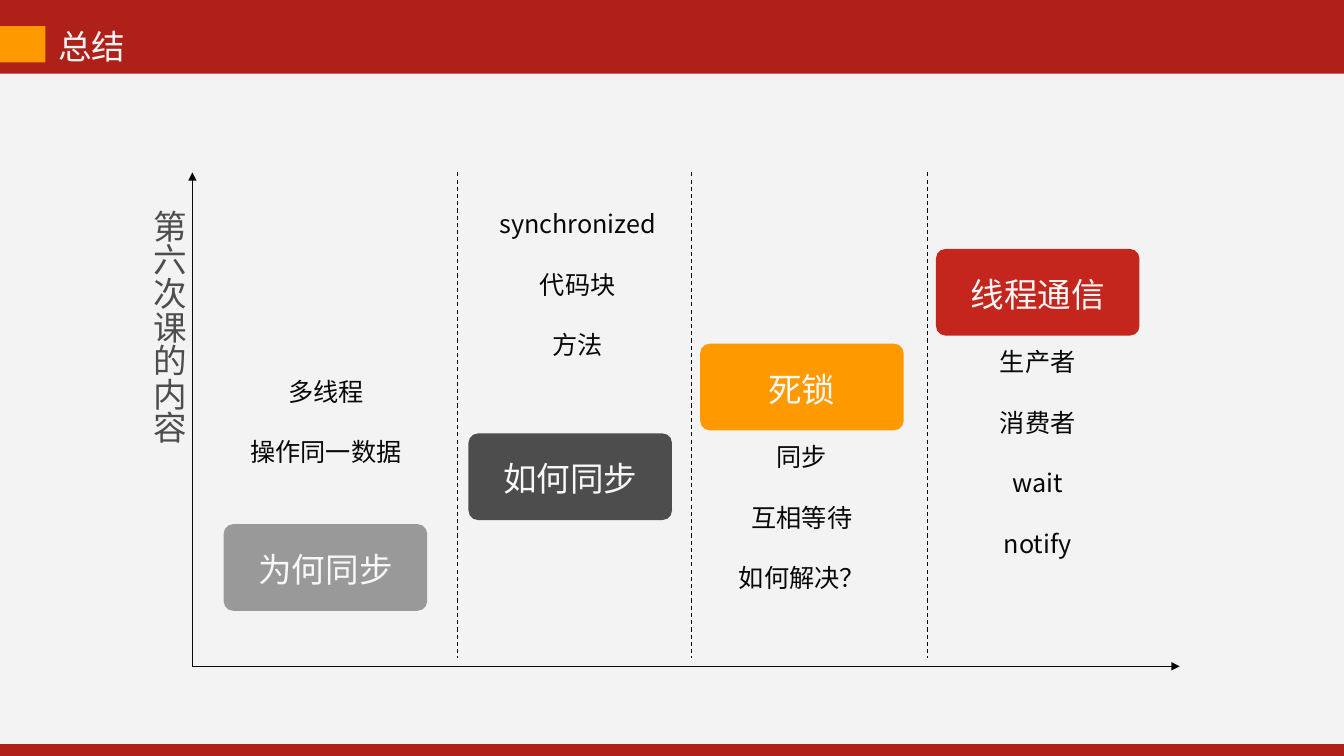
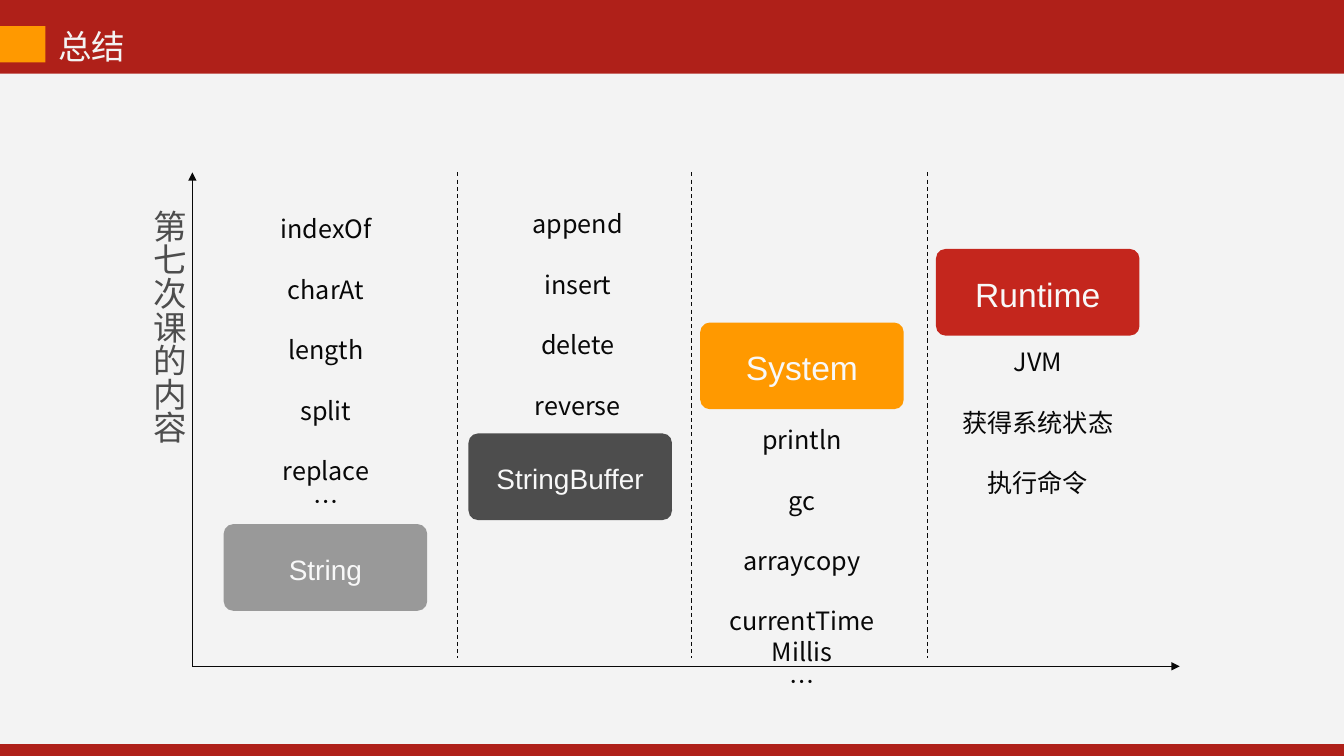
from lxml import etree
from pptx import Presentation
from pptx.dml.color import RGBColor
from pptx.enum.dml import MSO_LINE
from pptx.enum.shapes import MSO_CONNECTOR, MSO_SHAPE
from pptx.enum.text import MSO_ANCHOR, MSO_AUTO_SIZE, PP_ALIGN
from pptx.oxml.ns import qn
from pptx.util import Inches, Pt

RECTANGLE = MSO_SHAPE.RECTANGLE
ROUNDED = MSO_SHAPE.ROUNDED_RECTANGLE
STRAIGHT = MSO_CONNECTOR.STRAIGHT
DASH = MSO_LINE.DASH
MIDDLE = MSO_ANCHOR.MIDDLE
TOP = MSO_ANCHOR.TOP
LEFT = PP_ALIGN.LEFT
CENTER = PP_ALIGN.CENTER
GROW = MSO_AUTO_SIZE.SHAPE_TO_FIT_TEXT

SLIDE_WIDTH, SLIDE_HEIGHT = 13.34, 7.5
RED, PANEL, ORANGE = "AF2019", "F3F3F3", "FF9900"
INK, DARK, PALE = "080808", "4D4D4D", "F8F8F8"
HEADING_FONT, LABEL_FONT = "Noto Sans CJK SC", "Arial"
LINE_FACTOR = 1.2
NOTE_SIZE = 18
NOTE_LINE = NOTE_SIZE * LINE_FACTOR
ELLIPSIS = "…"

CHART_BOX = (1.91, 1.71, 9.8, 4.9)
DIVIDERS = (2.63, 4.95, 7.3)
PILL_WIDTH, PILL_HEIGHT = 2.02, 0.86
COLUMNS = (
    {"left": 0.31, "notes_left": 0.39, "notes_width": 1.87, "fill": "999999"},
    {"left": 2.74, "notes_left": 2.89, "notes_width": 1.87, "fill": DARK},
    {"left": 5.04, "notes_left": 5.19, "notes_width": 1.72, "fill": ORANGE},
    {"left": 7.38, "notes_left": 7.53, "notes_width": 1.72, "fill": "C4261D"},
)

LESSONS = (
    ("第六次课的内容", (
        ("为何同步", 24, 3.49, 1.95, ("多线程", "操作同一数据")),
        ("如何同步", 24, 2.59, 0.29, ("synchronized", "代码块", "方法")),
        ("死锁", 24, 1.7, 2.6, ("同步", "互相等待", "如何解决？")),
        ("线程通信", 24, 0.76, 1.66, ("生产者", "消费者", "wait", "notify")),
    )),
    ("第七次课的内容", (
        ("String", 20, 3.49, 0.34,
         ("indexOf", "charAt", "length", "split", "replace", ELLIPSIS)),
        ("StringBuffer", 20, 2.59, 0.29,
         ("append", "insert", "delete", "reverse")),
        ("System", 24, 1.49, 2.43,
         ("println", "gc", "arraycopy", "currentTimeMillis", ELLIPSIS)),
        ("Runtime", 24, 0.76, 1.66, ("JVM", "获得系统状态", "执行命令")),
    )),
)


def color(value):
    return RGBColor.from_string(value)


def apply(target, values):
    for name, value in values.items():
        setattr(target, name, value)


def inches(*lengths):
    return [Inches(length) for length in lengths]


def write(paragraph, text, size, font, ink, align=LEFT):
    paragraph.alignment = align
    run = paragraph.add_run()
    run.text = text
    apply(run.font, {"size": Pt(size), "name": font})
    run.font.color.rgb = color(ink)
    properties = run.font._element
    etree.SubElement(properties, qn("a:ea")).set("typeface", HEADING_FONT)


def add_block(slide, kind, box, fill):
    shape = slide.shapes.add_shape(kind, *inches(*box))
    shape.shadow.inherit = False
    shape.fill.solid()
    shape.fill.fore_color.rgb = color(fill)
    shape.line.fill.background()
    return shape


def add_text(slide, box, lines, size, ink, align=LEFT, wrap=True):
    shape = slide.shapes.add_textbox(*inches(*box))
    frame = shape.text_frame
    apply(frame, {"word_wrap": wrap, "auto_size": GROW,
                  "vertical_anchor": TOP, "margin_top": Inches(0.07)})
    for index, line in enumerate(lines):
        paragraph = frame.paragraphs[0] if index == 0 else frame.add_paragraph()
        write(paragraph, line, size, HEADING_FONT, ink, align)
        paragraph.line_spacing = Pt(size * LINE_FACTOR)
        if index and line != ELLIPSIS:
            paragraph.space_before = Pt(size * LINE_FACTOR)
    return frame


def add_line(slide, start, end, dashed=False):
    connector = slide.shapes.add_connector(STRAIGHT, *inches(*start, *end))
    connector.line.width = Pt(0.75)
    connector.line.color.rgb = color(INK)
    if dashed:
        connector.line.dash_style = DASH
    else:
        outline = connector.line._get_or_add_ln()
        etree.SubElement(outline, qn("a:tailEnd")).set("type", "triangle")
    etree.SubElement(connector._element.spPr, qn("a:effectLst"))


def add_frame(slide, title):
    add_block(slide, RECTANGLE, (0, 0.73, SLIDE_WIDTH, 6.65), PANEL)
    add_text(slide, (0.48, 0.19, 0.88, 0.5), [title], 24, PANEL, wrap=False)
    add_block(slide, RECTANGLE, (0, 0.26, 0.45, 0.36), ORANGE)


def add_axes(slide, box, caption):
    left, top, width, height = box
    origin = (left, top + height)
    add_line(slide, origin, (left, top))
    add_line(slide, origin, (left + width, top + height))
    for offset in DIVIDERS:
        divider = left + offset
        add_line(slide, (divider, top), (divider, top + height - 0.08), True)
    caption_box = (left - 0.59, top + 0.3, 0.61, 2.71)
    frame = add_text(slide, caption_box, [caption], 24, DARK)
    frame._txBody.bodyPr.set("vert", "eaVert")


def add_topic(slide, box, column, topic):
    left, top = box[:2]
    label, size, pill_top, notes_top, notes = topic
    pill_box = (left + column["left"], top + pill_top, PILL_WIDTH, PILL_HEIGHT)
    pill = add_block(slide, ROUNDED, pill_box, column["fill"])
    pill.adjustments[0] = 0.11
    apply(pill.text_frame, {"vertical_anchor": MIDDLE, "word_wrap": True,
                            "margin_top": Inches(0.08)})
    write(pill.text_frame.paragraphs[0], label, size, LABEL_FONT, PALE, CENTER)
    gaps = sum(note != ELLIPSIS for note in notes) - 1
    height = 0.1 + (len(notes) + gaps) * NOTE_LINE / 72
    notes_box = (left + column["notes_left"], top + notes_top,
                 column["notes_width"], height)
    add_text(slide, notes_box, notes, NOTE_SIZE, INK, CENTER)


def add_summary(presentation, caption, topics):
    slide = presentation.slides.add_slide(presentation.slide_layouts[6])
    add_frame(slide, "总结")
    add_axes(slide, CHART_BOX, caption)
    for column, topic in zip(COLUMNS, topics):
        add_topic(slide, CHART_BOX, column, topic)


def main():
    presentation = Presentation()
    apply(presentation, {"slide_width": Inches(SLIDE_WIDTH),
                         "slide_height": Inches(SLIDE_HEIGHT)})
    background = presentation.slide_master.background.fill
    background.solid()
    background.fore_color.rgb = color(RED)
    for caption, topics in LESSONS:
        add_summary(presentation, caption, topics)
    presentation.save("out.pptx")


if __name__ == "__main__":
    main()
